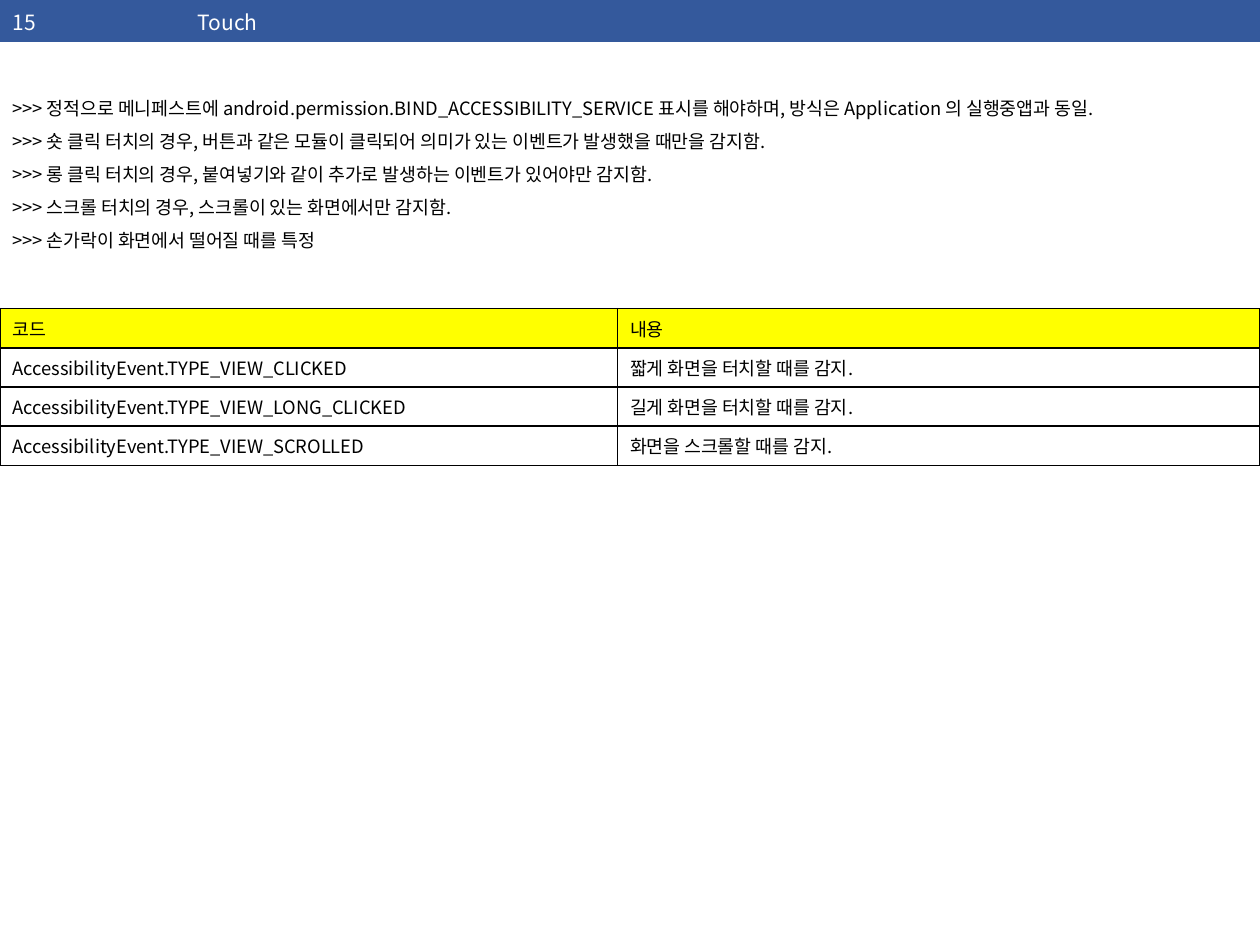
from dataclasses import dataclass

import pptx
import pptx.dml.color
import pptx.enum.text
import pptx.oxml
import pptx.oxml.ns
import pptx.util
from pptx.util import Inches


@dataclass(frozen=True)
class Theme:
    """Colours, font and type sizes of the slide."""
    font: str = "Noto Sans CJK KR"
    banner: str = "34599C"
    heading: str = "FFFF00"
    ink: str = "000000"
    paper: str = "FFFFFF"
    title_size: float = 12
    body_size: float = 10.5


@dataclass(frozen=True)
class Grid:
    """Content and look of one table."""
    top: float
    widths: tuple[float, ...]
    row_height: float
    rows: tuple[tuple[str, ...], ...]
    size: float
    ink: str
    head_fill: str
    edges: tuple[str, ...]
    edge_color: str
    edge_width: float


THEME = Theme()
BANNER = Grid(0, (1.47, 8.53), 0.33, (("15", "Touch"),), THEME.title_size,
              THEME.paper, THEME.banner, ("B",), THEME.paper, 2)
EVENTS = Grid(2.45, (4.9, 5.1), 0.275, (
    ("코드", "내용"),
    ("AccessibilityEvent.TYPE_VIEW_CLICKED", "짧게 화면을 터치할 때를 감지."),
    ("AccessibilityEvent.TYPE_VIEW_LONG_CLICKED", "길게 화면을 터치할 때를 감지."),
    ("AccessibilityEvent.TYPE_VIEW_SCROLLED", "화면을 스크롤할 때를 감지."),
), THEME.body_size, THEME.ink, THEME.heading, ("L", "R", "T", "B"), THEME.ink, 1)
NOTES = (
    "정적으로 메니페스트에 android.permission.BIND_ACCESSIBILITY_SERVICE 표시를 해야하며, "
    "방식은 Application 의 실행중앱과 동일.",
    "숏 클릭 터치의 경우, 버튼과 같은 모듈이 클릭되어 의미가 있는 이벤트가 발생했을 때만을 감지함.",
    "롱 클릭 터치의 경우, 붙여넣기와 같이 추가로 발생하는 이벤트가 있어야만 감지함.",
    "스크롤 터치의 경우, 스크롤이 있는 화면에서만 감지함.",
    "손가락이 화면에서 떨어질 때를 특정",
)


def rgb(color: str) -> pptx.dml.color.RGBColor:
    """Turn a hex string into a colour."""
    return pptx.dml.color.RGBColor.from_string(color)


def style_paragraph(paragraph, size: float, color: str) -> None:
    """Set font, size and colour on the runs of a paragraph."""
    for run in paragraph.runs:
        run.font.name = THEME.font
        run.font.size = pptx.util.Pt(size)
        run.font.color.rgb = rgb(color)
        east_asian = pptx.oxml.parse_xml(
            f'<a:ea {pptx.oxml.ns.nsdecls("a")} typeface="{THEME.font}"/>')
        run.font._element.find(pptx.oxml.ns.qn("a:latin")).addnext(east_asian)


def set_edges(cell, grid: Grid) -> None:
    """Draw the borders of a cell, leaving the other sides empty."""
    properties = cell._tc.get_or_add_tcPr()
    for index, side in enumerate("LRTB"):
        paint = (f'<a:solidFill><a:srgbClr val="{grid.edge_color}"/></a:solidFill>'
                 if side in grid.edges else "<a:noFill/>")
        properties.insert(index, pptx.oxml.parse_xml(
            f'<a:ln{side} {pptx.oxml.ns.nsdecls("a")} '
            f'w="{pptx.util.Pt(grid.edge_width)}">{paint}</a:ln{side}>'))


def draw_grid(slide, grid: Grid) -> None:
    """Add a table whose first row is filled."""
    table = slide.shapes.add_table(
        len(grid.rows), len(grid.widths), Inches(0), Inches(grid.top),
        Inches(sum(grid.widths)), Inches(grid.row_height * len(grid.rows))).table
    table.horz_banding = False
    for column, width in zip(table.columns, grid.widths):
        column.width = Inches(width)
    for row_index, texts in enumerate(grid.rows):
        for column_index, text in enumerate(texts):
            cell = table.cell(row_index, column_index)
            cell.text_frame.text = text
            style_paragraph(cell.text_frame.paragraphs[0], grid.size, grid.ink)
            if row_index == 0:
                cell.vertical_anchor = pptx.enum.text.MSO_ANCHOR.MIDDLE
                cell.fill.solid()
                cell.fill.fore_color.rgb = rgb(grid.head_fill)
            else:
                cell.fill.background()
            set_edges(cell, grid)


def draw_notes(slide) -> None:
    """Add the list of remarks above the event table."""
    frame = slide.shapes.add_textbox(
        Inches(0), Inches(0.72), Inches(10), Inches(1.34)).text_frame
    frame.word_wrap = True
    frame.auto_size = pptx.enum.text.MSO_AUTO_SIZE.SHAPE_TO_FIT_TEXT
    frame.text = "\n".join(f">>> {note}" for note in NOTES)
    for index, paragraph in enumerate(frame.paragraphs):
        style_paragraph(paragraph, THEME.body_size, THEME.ink)
        if index:
            paragraph.line_spacing = 1.5


def main() -> None:
    """Build and save the slide."""
    deck = pptx.Presentation()
    deck.slide_width, deck.slide_height = Inches(10), Inches(7.5)
    slide = deck.slides.add_slide(deck.slide_layouts[6])
    draw_grid(slide, BANNER)
    draw_grid(slide, EVENTS)
    draw_notes(slide)
    deck.save("out.pptx")


main()
